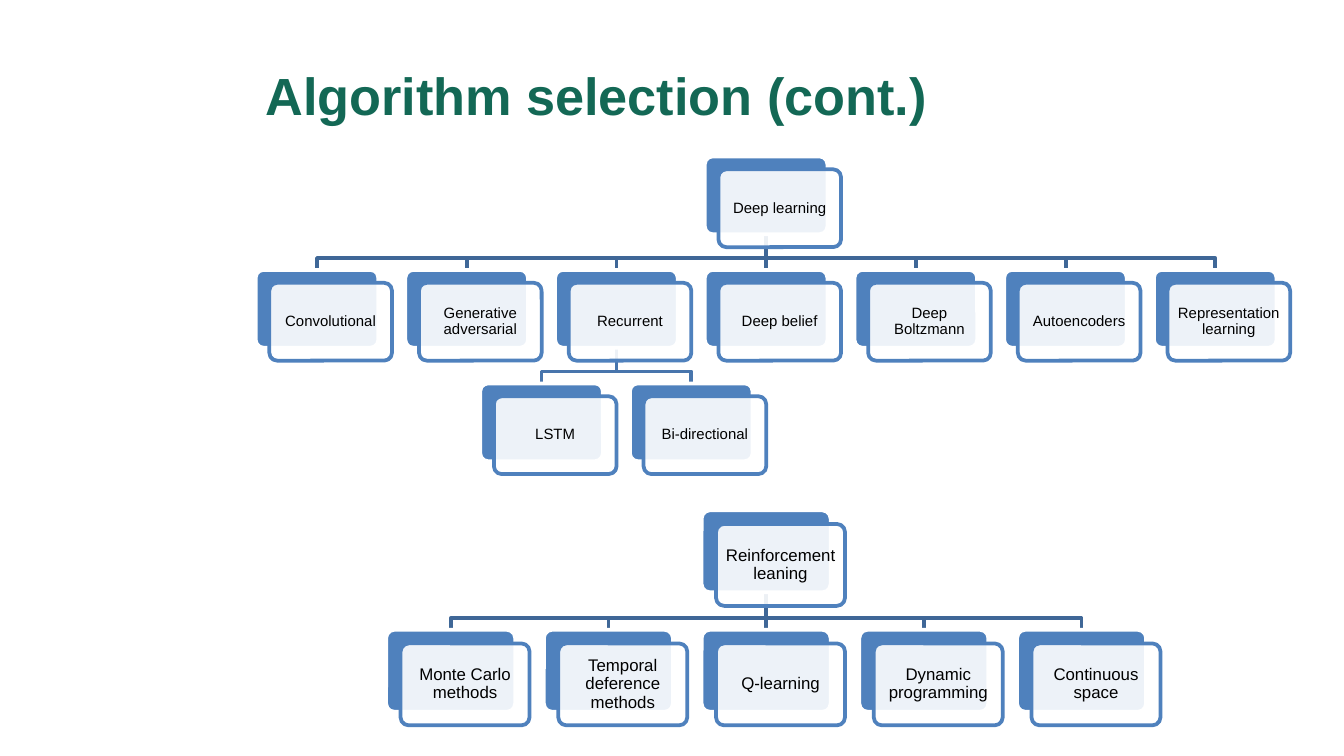
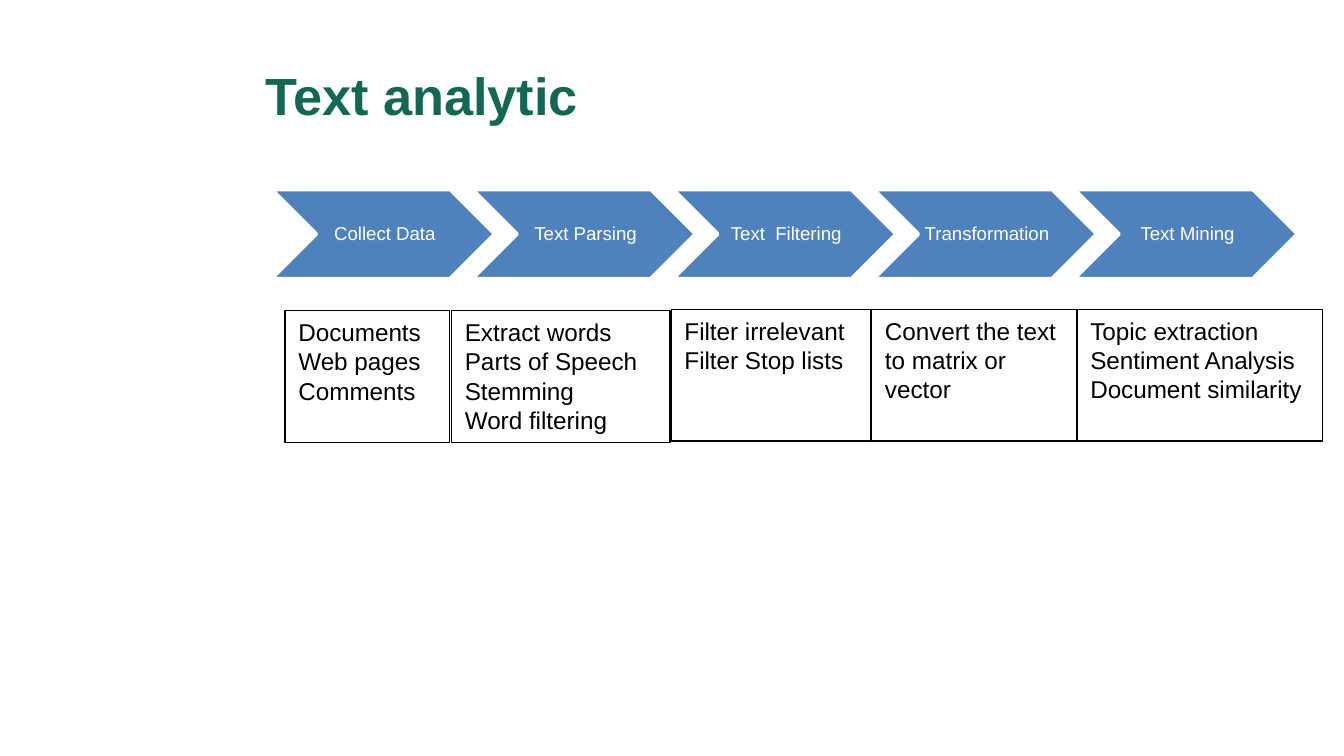
from lxml import etree
from pptx import Presentation
from pptx.dml.color import RGBColor
from pptx.enum.shapes import MSO_CONNECTOR, MSO_SHAPE
from pptx.enum.text import MSO_ANCHOR, PP_ALIGN
from pptx.oxml.ns import qn
from pptx.util import Pt

ROUNDED, CHEVRON = MSO_SHAPE.ROUNDED_RECTANGLE, MSO_SHAPE.CHEVRON
STRAIGHT = MSO_CONNECTOR.STRAIGHT
LEFT, CENTER = PP_ALIGN.LEFT, PP_ALIGN.CENTER
TOP, MIDDLE = MSO_ANCHOR.TOP, MSO_ANCHOR.MIDDLE

FONT = "Arial"
GREEN, BLUE, WHITE, BLACK = "136855", "4F81BD", "FFFFFF", "000000"
LINK_COLORS = {1: "3F6797", 2: "4875AC"}


def paint(color_format, value):
    """Set a fill or font colour from a hex string."""
    color_format.rgb = RGBColor.from_string(value)


def write(frame, text, size, color, align, anchor, insets, spacing=1.0, bold=False):
    """Put text into a frame, one paragraph per line, and format it."""
    frame.text = text
    frame.word_wrap = True
    frame.vertical_anchor = anchor
    (frame.margin_left, frame.margin_top,
     frame.margin_right, frame.margin_bottom) = [Pt(inset) for inset in insets]
    for paragraph in frame.paragraphs:
        paragraph.alignment = align
        paragraph.line_spacing = spacing
        for run in paragraph.runs:
            run.font.name = FONT
            run.font.size = Pt(size)
            run.font.bold = bold
            paint(run.font.color, color)


prs = Presentation()
prs.slide_width, prs.slide_height = Pt(720), Pt(405)

# Slides with their titles
slides = []
for heading in ("Algorithm selection (cont.)", "Text analytic"):
    slide = prs.slides.add_slide(prs.slide_layouts[5])
    title = slide.shapes.title
    title.left, title.top, title.width, title.height = Pt(135), Pt(16.9), Pt(549), Pt(67.5)
    write(title.text_frame, heading, 28, GREEN, LEFT, MIDDLE, (7.2, 3.6, 7.2, 3.6), bold=True)
    slides.append(slide)
selection, analytic = slides

# Algorithm trees: each node is (label, column, level, index of its parent)
trees = [
    {"left": 137, "top": 83.8, "step": 80.2, "drop": 60.8, "card": (65.7, 41.7),
     "offset": (7.3, 6.9), "size": 8, "nodes": [
         ("Deep learning", 3, 0, None),
         ("Convolutional", 0, 1, 0),
         ("Generative adversarial", 1, 1, 0),
         ("Recurrent", 2, 1, 0),
         ("LSTM", 1.5, 2, 3),
         ("Bi-directional", 2.5, 2, 3),
         ("Deep belief", 3, 1, 0),
         ("Deep Boltzmann", 4, 1, 0),
         ("Autoencoders", 5, 1, 0),
         ("Representation learning", 6, 1, 0)]},
    {"left": 206.9, "top": 273.4, "step": 84.5, "drop": 64, "card": (69.1, 43.9),
     "offset": (7.7, 7.3), "size": 9, "nodes": [
         ("Reinforcement leaning", 2, 0, None),
         ("Monte Carlo methods", 0, 1, 0),
         ("Temporal deference methods", 1, 1, 0),
         ("Q-learning", 2, 1, 0),
         ("Dynamic programming", 3, 1, 0),
         ("Continuous space", 4, 1, 0)]},
]
for tree in trees:
    width, height = tree["card"]
    shift_x, shift_y = tree["offset"]
    corners = [(tree["left"] + column * tree["step"], tree["top"] + level * tree["drop"])
               for _, column, level, _ in tree["nodes"]]

    # Links from parents to children, behind the cards
    for (x, y), (_, _, level, parent) in zip(corners, tree["nodes"]):
        if parent is None:
            continue
        parent_x, parent_y = corners[parent]
        start_x, end_x = Pt(parent_x + width / 2), Pt(x + width / 2)
        start_y, bus_y, end_y = Pt(parent_y + height), Pt(y - 6.3), Pt(y)
        if start_x == end_x:
            link = selection.shapes.add_connector(STRAIGHT, start_x, start_y, end_x, end_y)
            etree.SubElement(link._element.spPr, qn("a:effectLst"))
        else:
            outline = selection.shapes.build_freeform(start_x, start_y)
            outline.add_line_segments(
                [(start_x, bus_y), (end_x, bus_y), (end_x, end_y)], close=False)
            link = outline.convert_to_shape()
            link.fill.background()
            link.shadow.inherit = False
        paint(link.line.color, LINK_COLORS[level])
        link.line.width = Pt(2)

    # Blue back card and translucent front card with the label
    for (x, y), (label, *_) in zip(corners, tree["nodes"]):
        for dx, dy, fill, edge in ((0, 0, BLUE, WHITE), (shift_x, shift_y, WHITE, BLUE)):
            card = selection.shapes.add_shape(
                ROUNDED, Pt(x + dx), Pt(y + dy), Pt(width), Pt(height))
            card.adjustments[0] = 0.1
            card.shadow.inherit = False
            card.fill.solid()
            paint(card.fill.fore_color, fill)
            paint(card.line.color, edge)
            card.line.width = Pt(2)
        tint = card._element.spPr.find(qn("a:solidFill"))[0]
        etree.SubElement(tint, qn("a:alpha"), val="90000")
        write(card.text_frame, label, tree["size"], BLACK, CENTER, MIDDLE, (2.4,) * 4, 0.9)

# Text analytic: process steps with (left, top, width) of the box below
steps = [
    ("Collect Data", "Documents\nWeb pages\nComments", 152.8, 166.5, 88),
    ("Text Parsing", "Extract words\nParts of Speech\nStemming\nWord filtering", 242, 166.5, 117),
    ("Text  Filtering", "Filter irrelevant\nFilter Stop lists", 359.6, 165.8, 107),
    ("Transformation", "Convert the text to matrix or vector", 467, 165.8, 110),
    ("Text Mining", "Topic extraction\nSentiment Analysis\nDocument similarity",
     577, 165.8, 131.5),
]
for index, (step, details, left, top, width) in enumerate(steps):
    arrow = analytic.shapes.add_shape(
        CHEVRON, Pt(145.6 + index * 107.5), Pt(101.5), Pt(119.5), Pt(47.8))
    arrow.shadow.inherit = False
    arrow.fill.solid()
    paint(arrow.fill.fore_color, BLUE)
    paint(arrow.line.color, WHITE)
    arrow.line.width = Pt(2)
    write(arrow.text_frame, step, 10, WHITE, CENTER, MIDDLE, (2.6, 0.9, 0.9, 0.9), 0.9)

    box = analytic.shapes.add_textbox(Pt(left), Pt(top), Pt(width), Pt(70.5))
    paint(box.line.color, BLACK)
    box.line.width = Pt(0.75)
    write(box.text_frame, details, 13, BLACK, LEFT, TOP, (7.2, 3.6, 7.2, 3.6))

prs.save("out.pptx")
